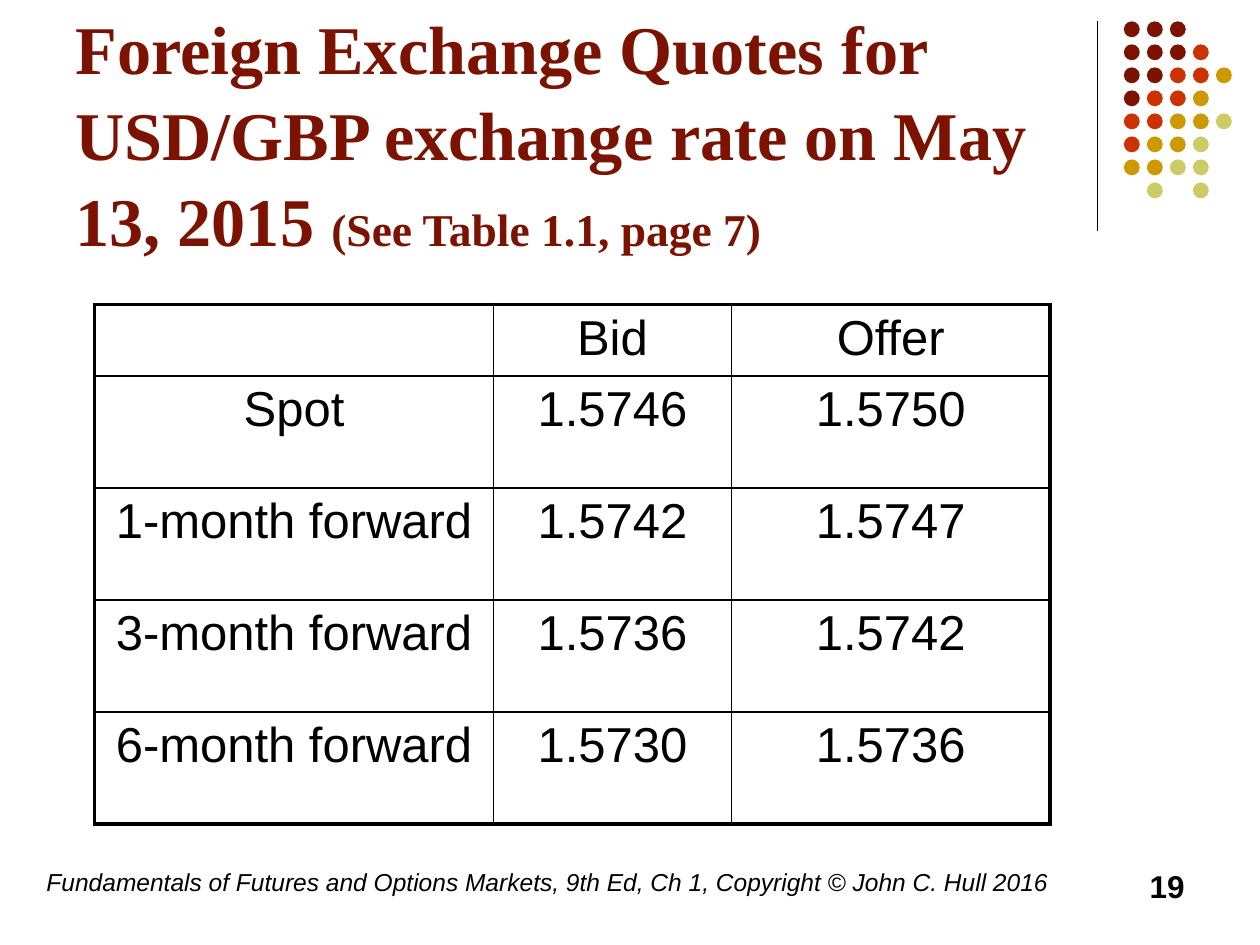
from lxml import etree
from pptx import Presentation
from pptx.dml.color import RGBColor
from pptx.enum import shapes, text
from pptx.oxml import ns
from pptx.util import Pt

COLORS = {
    "black": "000000",
    "maroon": "7C1302",
    "red": "CC3300",
    "gold": "CC9900",
    "olive": "CCCC66",
}
DOT_KEYS = {"M": "maroon", "R": "red", "G": "gold", "O": "olive"}
DOT_ROWS = ["MMM", "MMMR", "MMRRG", "MRRG", "RRGGO", "RGGO", "GGOO", " O O"]
DOT_SIZE, DOT_PITCH = 9.1, 13.15

QUOTES = [
    ["", "Bid", "Offer"],
    ["Spot", "1.5746", "1.5750"],
    ["1-month forward", "1.5742", "1.5747"],
    ["3-month forward", "1.5736", "1.5742"],
    ["6-month forward", "1.5730", "1.5736"],
]
COLUMN_WIDTHS = [228, 136, 182]
ROW_HEIGHTS = [41, 64, 64, 64, 64]
OUTER, INNER = 2.25, 1


def color(name):
    return RGBColor.from_string(COLORS[name])


def add_span(para, words, size, font="Arial", ink="black", bold=False, italic=False):
    span = para.add_run()
    span.text = words
    span.font.name = font
    span.font.size = Pt(size)
    span.font.bold = bold
    span.font.italic = italic
    span.font.color.rgb = color(ink)


def add_box(page, left, top, width, height, anchor=text.MSO_ANCHOR.TOP, align=text.PP_ALIGN.LEFT):
    """Add a wrapping text box and return its first paragraph."""
    box = page.shapes.add_textbox(Pt(left), Pt(top), Pt(width), Pt(height))
    frame = box.text_frame
    frame.word_wrap = True
    frame.vertical_anchor = anchor
    para = frame.paragraphs[0]
    para.alignment = align
    return para


def add_rule(page, x, top, bottom):
    rule = page.shapes.add_connector(
        shapes.MSO_CONNECTOR.STRAIGHT, Pt(x), Pt(top), Pt(x), Pt(bottom))
    rule.line.color.rgb = color("black")
    rule.line.width = Pt(0.75)
    etree.SubElement(rule.element.spPr, ns.qn("a:effectLst"))


def add_dots(page, left, top):
    group = page.shapes.add_group_shape()
    for row, keys in enumerate(DOT_ROWS):
        for column, key in enumerate(keys):
            if key == " ":
                continue
            dot = group.shapes.add_shape(
                shapes.MSO_SHAPE.OVAL,
                Pt(left + column * DOT_PITCH), Pt(top + row * DOT_PITCH),
                Pt(DOT_SIZE), Pt(DOT_SIZE))
            dot.shadow.inherit = False
            dot.fill.solid()
            dot.fill.fore_color.rgb = color(DOT_KEYS[key])
            dot.line.fill.background()


def set_borders(cell, **widths):
    """Draw black cell borders; give widths in the order L, R, T, B."""
    properties = cell._tc.get_or_add_tcPr()
    for side, width in widths.items():
        line = etree.SubElement(properties, ns.qn(f"a:ln{side}"), w=str(Pt(width)))
        fill = etree.SubElement(line, ns.qn("a:solidFill"))
        etree.SubElement(fill, ns.qn("a:srgbClr"), val=COLORS["black"])


def add_quote_table(page, left, top):
    last_row, last_column = len(QUOTES) - 1, len(COLUMN_WIDTHS) - 1
    table = page.shapes.add_table(
        len(QUOTES), len(COLUMN_WIDTHS), Pt(left), Pt(top),
        Pt(sum(COLUMN_WIDTHS)), Pt(sum(ROW_HEIGHTS))).table
    for column, width in zip(table.columns, COLUMN_WIDTHS):
        column.width = Pt(width)
    for row, height in zip(table.rows, ROW_HEIGHTS):
        row.height = Pt(height)
    for r, quotes in enumerate(QUOTES):
        for c, words in enumerate(quotes):
            cell = table.cell(r, c)
            set_borders(
                cell,
                L=OUTER if c == 0 else INNER,
                R=OUTER if c == last_column else INNER,
                T=OUTER if r == 0 else INNER,
                B=OUTER if r == last_row else INNER)
            cell.fill.background()
            if words:
                para = cell.text_frame.paragraphs[0]
                para.alignment = text.PP_ALIGN.CENTER
                add_span(para, words, 28)


def main():
    deck = Presentation()
    deck.slide_width, deck.slide_height = Pt(720), Pt(540)
    page = deck.slides.add_slide(deck.slide_layouts[6])

    add_rule(page, 627, 12, 132)
    add_dots(page, 642.2, 12.2)

    footer = add_box(page, 19.5, 492, 595.5, 36)
    add_span(footer, "Fundamentals of Futures and Options Markets, 9th Ed, Ch 1, "
                     "Copyright © John C. Hull 2016", 14, italic=True)

    title = add_box(page, 36, 39.6, 594, 112.4, anchor=text.MSO_ANCHOR.BOTTOM)
    title.line_spacing = 1.05
    style = {"font": "Times New Roman", "ink": "maroon", "bold": True}
    add_span(title, "Foreign Exchange Quotes for USD/GBP exchange rate on May 13, 2015 ", 39, **style)
    add_span(title, "(See Table 1.1, page 7)", 26, **style)

    add_quote_table(page, 54, 174)

    number = add_box(page, 516, 492, 168, 36, align=text.PP_ALIGN.RIGHT)
    add_span(number, "19", 18, bold=True)

    deck.save("out.pptx")


if __name__ == "__main__":
    main()
